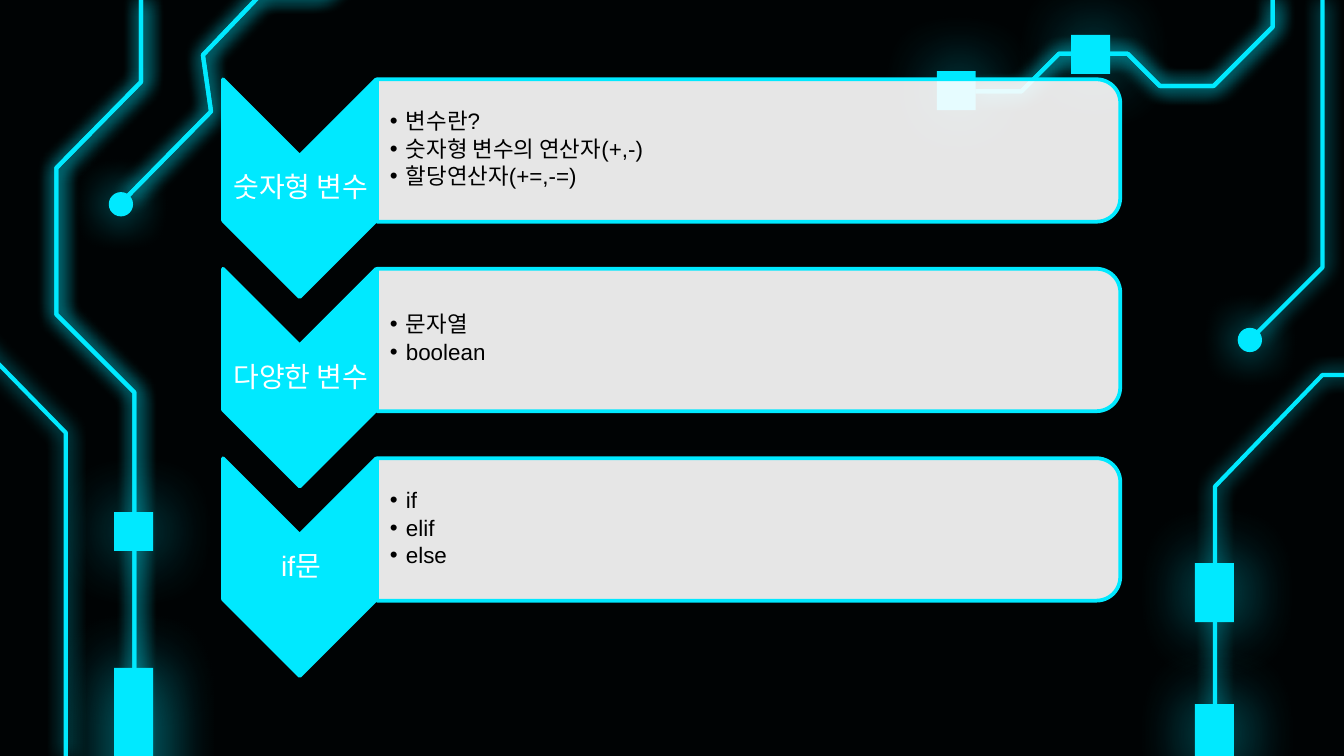
from lxml.etree import SubElement
from pptx import Presentation
from pptx.dml.color import RGBColor
from pptx.enum.shapes import MSO_SHAPE
from pptx.enum.text import MSO_ANCHOR, PP_ALIGN
from pptx.oxml.ns import qn
from pptx.util import Inches, Pt

CYAN = RGBColor(0x00, 0xE9, 0xFF)
WHITE = RGBColor(0xFF, 0xFF, 0xFF)
BLACK = RGBColor(0x00, 0x00, 0x00)
NIGHT = RGBColor(0x00, 0x03, 0x04)

FONT = "Arial"
WIDTH = 10
HEIGHT = WIDTH * 9 / 16
ROW_TOP = 0.58
ROW_PITCH = 1.41

LEFT_EDGE_TRACE = [(0.49, HEIGHT), (0.49, 3.22), (-0.32, 2.39)]
LEFT_TRACE = [(1, HEIGHT), (1, 2.92), (0.42, 2.34), (0.42, 1.25), (1.05, 0.61), (1.05, 0)]
TOP_LEFT_TRACE = [(0.94, 1.47), (1.57, 0.83), (1.51, 0.41), (1.94, -0.04), (2.4, -0.04), (2.85, -0.47)]
RIGHT_EDGE_TRACE = [(9.04, HEIGHT), (9.04, 3.62), (9.84, 2.79), (10.2, 2.79)]
RIGHT_TRACE = [(9.84, 0), (9.84, 1.99), (9.34, 2.49)]
TOP_RIGHT_TRACE = [(9.47, 0), (9.47, 0.2), (9.03, 0.64), (8.63, 0.64), (8.39, 0.4),
                   (7.88, 0.4), (7.6, 0.68), (7.26, 0.68)]

TOPICS = [
    ("숫자형 변수", ["변수란?", "숫자형 변수의 연산자(+,-)", "할당연산자(+=,-=)"]),
    ("다양한 변수", ["문자열", "boolean"]),
    ("if문", ["if", "elif", "else"]),
]


def add_glow(shape, blur, opacity, distance):
    """Give a shape a soft cyan shadow."""
    shape.shadow.inherit = False
    effects = shape._element.spPr.find(qn("a:effectLst"))
    glow = SubElement(effects, qn("a:outerShdw"), blurRad=str(Pt(blur)), dist=str(Pt(distance)),
                      dir="0", algn="ctr", rotWithShape="0")
    colour = SubElement(glow, qn("a:srgbClr"), val=str(CYAN))
    SubElement(colour, qn("a:alpha"), val=str(opacity * 1000))


def add_trace(slide, points, distances=(0,)):
    """Draw a glowing circuit line, once for each glow distance."""
    corners = [(Inches(x), Inches(y)) for x, y in points]
    for distance in distances:
        builder = slide.shapes.build_freeform(*corners[0])
        builder.add_line_segments(corners[1:], close=False)
        trace = builder.convert_to_shape()
        trace.fill.background()
        trace.line.color.rgb = CYAN
        trace.line.width = Pt(2.25)
        add_glow(trace, 10.1, 100, distance)


def add_pad(slide, left, top, height=0.29):
    """Draw a glowing rectangular circuit pad."""
    pad = slide.shapes.add_shape(MSO_SHAPE.RECTANGLE, Inches(left), Inches(top),
                                 Inches(0.29), Inches(height))
    pad.fill.solid()
    pad.fill.fore_color.rgb = CYAN
    pad.line.fill.background()
    add_glow(pad, 36, 70, 1.5)


def add_node(slide, left, top):
    """Draw the round end of a circuit line."""
    node = slide.shapes.add_shape(MSO_SHAPE.OVAL, Inches(left), Inches(top),
                                  Inches(0.16), Inches(0.16))
    node.fill.solid()
    node.fill.fore_color.rgb = CYAN
    node.line.color.rgb = CYAN
    node.line.width = Pt(1.5)
    add_glow(node, 22.5, 100, 0)


def add_turned_shape(slide, kind, centre, length, breadth, colour):
    """Add an outlined shape turned a quarter clockwise about its centre."""
    x, y = centre
    shape = slide.shapes.add_shape(kind, Inches(x - length / 2), Inches(y - breadth / 2),
                                   Inches(length), Inches(breadth))
    shape.rotation = 90
    shape.shadow.inherit = False
    shape.fill.solid()
    shape.fill.fore_color.rgb = colour
    shape.line.color.rgb = CYAN
    shape.line.width = Pt(2)
    return shape


def add_text(slide, box, lines, size, colour, left_inset=0.01):
    """Add a middle-anchored text box and return its paragraphs."""
    frame = slide.shapes.add_textbox(*[Inches(value) for value in box]).text_frame
    frame.word_wrap = True
    frame.vertical_anchor = MSO_ANCHOR.MIDDLE
    frame.margin_left = Inches(left_inset)
    frame.margin_right = frame.margin_top = frame.margin_bottom = Inches(0.01)
    frame.text = "\n".join(lines)
    for paragraph in frame.paragraphs:
        paragraph.line_spacing = 0.9
        paragraph.font.name = FONT
        paragraph.font.size = Pt(size)
        paragraph.font.color.rgb = colour
    return frame.paragraphs


def add_bullet(paragraph):
    """Turn a paragraph into a hanging bullet point."""
    paragraph.level = 1
    paragraph.space_after = Pt(1.8)
    properties = paragraph._p.get_or_add_pPr()
    properties.set("marL", str(Inches(0.12)))
    properties.set("indent", str(-Inches(0.12)))
    bullet_colour = SubElement(properties, qn("a:buClr"))
    SubElement(bullet_colour, qn("a:srgbClr"), val=str(BLACK))
    SubElement(properties, qn("a:buFont"), typeface=FONT)
    SubElement(properties, qn("a:buChar"), char="•")
    properties.append(properties.find(qn("a:defRPr")))


def add_topic(slide, top, heading, points):
    """Add one chevron heading with its card of bullet points."""
    add_turned_shape(slide, MSO_SHAPE.CHEVRON, (2.23, top + 0.82), 1.62, 1.14, CYAN)
    label, = add_text(slide, (1.67, top + 0.58, 1.14, 0.49), [heading], 15, WHITE)
    label.alignment = PP_ALIGN.CENTER

    card = add_turned_shape(slide, MSO_SHAPE.ROUND_2_SAME_RECTANGLE, (5.57, top + 0.54),
                            1.06, 5.53, WHITE)
    card_colour = card._element.spPr.find(qn("a:solidFill")).find(qn("a:srgbClr"))
    SubElement(card_colour, qn("a:alpha"), val="90000")
    for paragraph in add_text(slide, (2.81, top + 0.06, 5.48, 0.95), points, 12, BLACK, 0.09):
        add_bullet(paragraph)


def add_circuit(slide):
    """Draw the circuit board decoration around the slide."""
    add_trace(slide, LEFT_EDGE_TRACE)
    add_trace(slide, LEFT_TRACE, (1.5, 0))
    add_pad(slide, 0.85, 3.81)
    add_pad(slide, 0.85, 4.97, 2.79)
    add_trace(slide, TOP_LEFT_TRACE, (1.5, 0))
    add_node(slide, 0.82, 1.44)
    add_trace(slide, RIGHT_EDGE_TRACE)
    for top in (4.19, 5.24):
        add_pad(slide, 8.89, top, 0.44)
    add_trace(slide, RIGHT_TRACE)
    add_node(slide, 9.22, 2.45)
    add_trace(slide, TOP_RIGHT_TRACE, (1.5, 0))
    add_pad(slide, 6.97, 0.53)
    add_pad(slide, 7.97, 0.26)


def main():
    """Build the slide of Python topics and save it."""
    presentation = Presentation()
    presentation.slide_width = Inches(WIDTH)
    presentation.slide_height = Inches(HEIGHT)
    slide = presentation.slides.add_slide(presentation.slide_layouts[6])
    slide.background.fill.solid()
    slide.background.fill.fore_color.rgb = NIGHT

    add_circuit(slide)
    for row, (heading, points) in enumerate(TOPICS):
        add_topic(slide, ROW_TOP + row * ROW_PITCH, heading, points)
    presentation.save("out.pptx")


if __name__ == "__main__":
    main()
